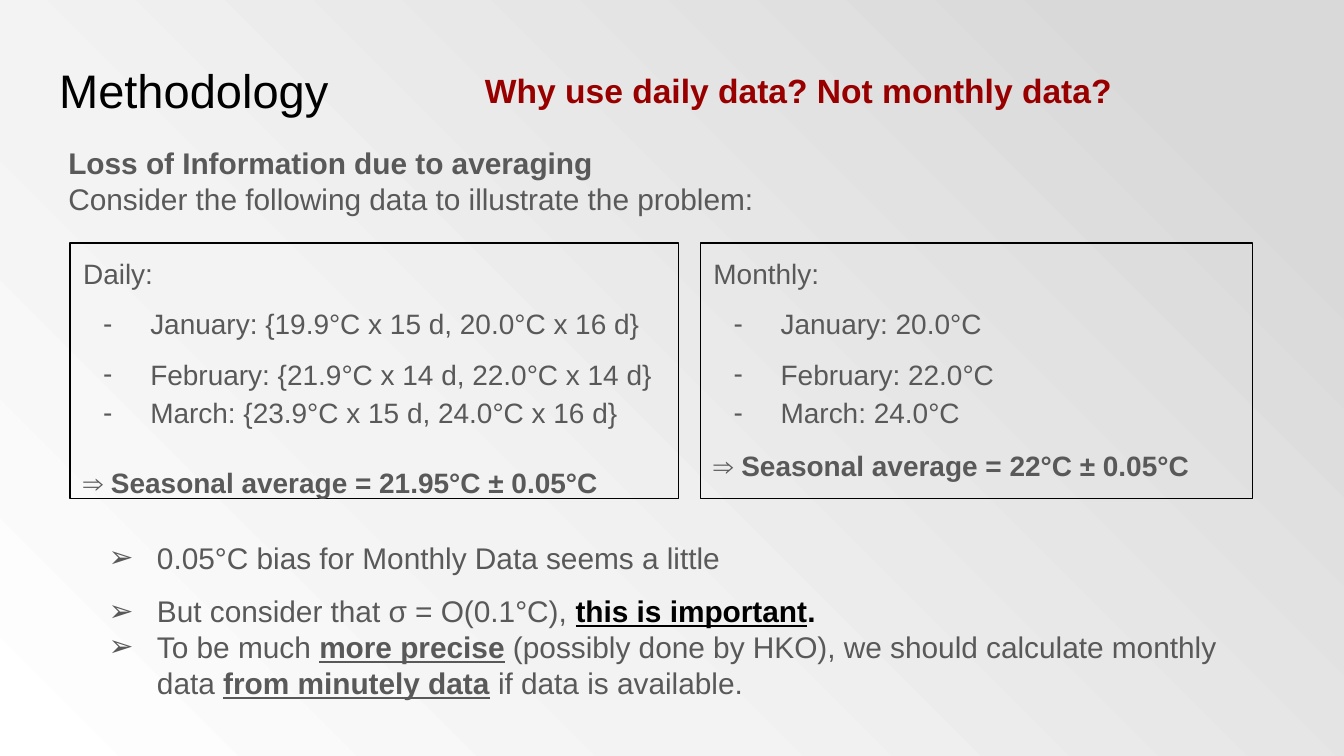
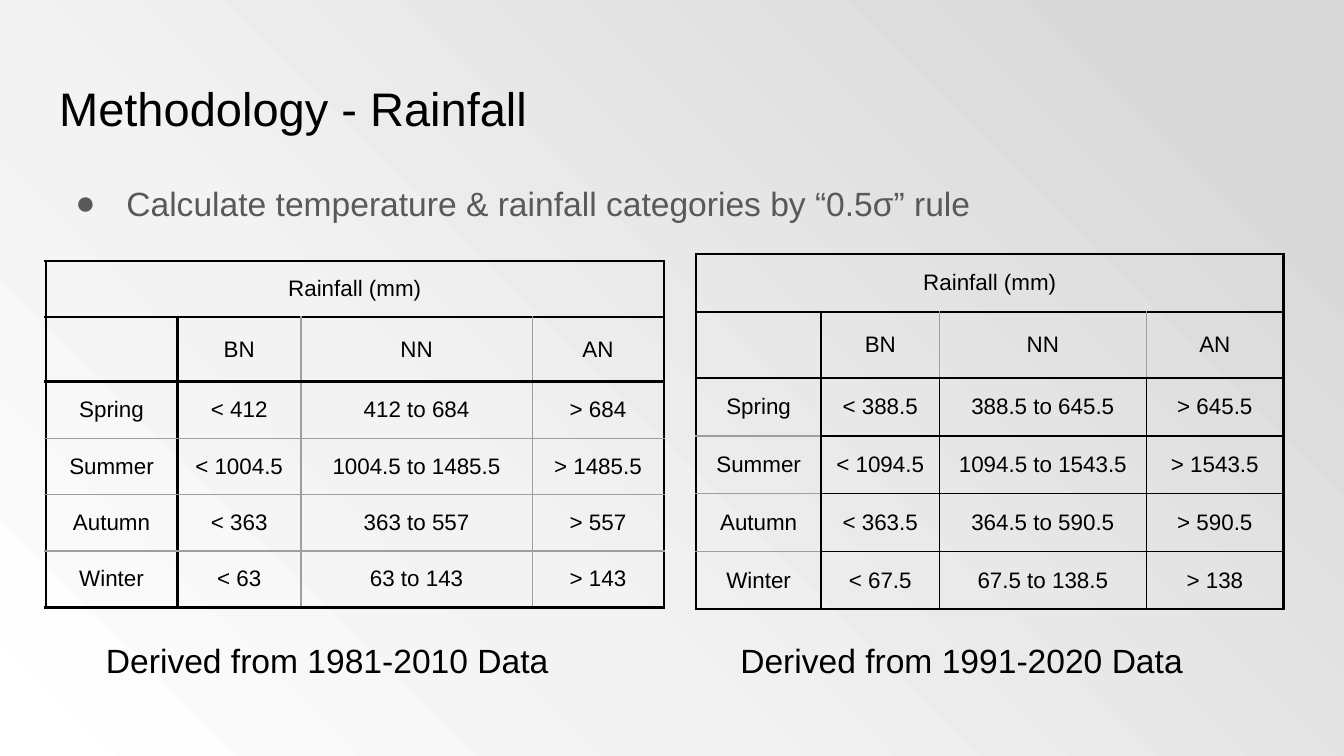
from lxml import etree
from pptx import Presentation
from pptx.dml.color import RGBColor
from pptx.enum import text
from pptx.oxml import ns, parse_xml
from pptx.util import Inches, Pt

INK = {"black": "000000", "gray": "595959", "red": "980000", "rule": "9E9E9E"}
STOPS = ((0, "FFFFFF"), (34, "F3F3F3"), (89, "D9D9D9"), (100, "D9D9D9"))
FONT = "Arial"
SIDES = ("L", "R", "T", "B")
THICK, FAINT, FINE = ("black", 1.5), ("rule", 0.75), ("black", 0.83)
HEAD = ["", "BN", "NN", "AN"]


def color(name):
    return RGBColor.from_string(INK[name])


# Shared background
def paint(master):
    master.background.fill.gradient()
    grad = master.element.xpath(".//p:bg//a:gradFill")[0]
    stops = "".join(f'<a:gs pos="{pos * 1000}"><a:srgbClr val="{tint}"/></a:gs>'
                    for pos, tint in STOPS)
    fresh = parse_xml(
        f'<a:gradFill {ns.nsdecls("a")} rotWithShape="1"><a:gsLst>{stops}</a:gsLst>'
        '<a:path path="circle"><a:fillToRect t="100000" r="100000"/></a:path></a:gradFill>')
    grad.getparent().replace(grad, fresh)


# Text
def style(font, size, tone, bold=None):
    font.name, font.size, font.bold = FONT, Pt(size), bold
    font.color.rgb = color(tone)


def mark(para, char, hang):
    props = para._p.get_or_add_pPr()
    props.set("marL", str(Inches(0.5)))
    props.set("indent", str(-Inches(hang)))
    tint = etree.SubElement(props, ns.qn("a:buClr"))
    etree.SubElement(tint, ns.qn("a:srgbClr")).set("val", INK["gray"])
    etree.SubElement(props, ns.qn("a:buFont")).set("typeface", FONT)
    etree.SubElement(props, ns.qn("a:buChar")).set("char", char)


def write(frame, lines, size, tone="gray", bold=None):
    """Each line is (parts, options); a part is text or (text, flags b, u, k)."""
    for i, (parts, opts) in enumerate(lines):
        para = frame.add_paragraph() if i else frame.paragraphs[0]
        if "bullet" in opts:
            mark(para, *opts["bullet"])
        para.alignment = text.PP_ALIGN.LEFT
        para.line_spacing = opts.get("gap", 1.0)
        para.space_before = Pt(opts.get("before", 0))
        style(para.font, size, tone, opts.get("bold", bold))
        for part in parts:
            words, flags = (part, "") if isinstance(part, str) else part
            run = para.add_run()
            run.text = words
            if "b" in flags:
                run.font.bold = True
            if "u" in flags:
                run.font.underline = True
            if "k" in flags:
                run.font.color.rgb = color("black")


def fit(shape, box, grow):
    shape.left, shape.top, shape.width, shape.height = map(Inches, box)
    frame = shape.text_frame
    frame.margin_left = frame.margin_right = Inches(0.1)
    frame.margin_top = frame.margin_bottom = Inches(0.1)
    frame.word_wrap = True
    frame.vertical_anchor = text.MSO_ANCHOR.TOP
    kind = text.MSO_AUTO_SIZE
    frame.auto_size = kind.SHAPE_TO_FIT_TEXT if grow else kind.NONE
    return frame


def title(slide, words, top):
    frame = fit(slide.shapes.title, (0.34, top, 9.32, 0.63), False)
    write(frame, [([words], {})], 25.2, "black")


def note(slide, box, lines, size, tone="gray", bold=None, line=False):
    shape = slide.shapes.add_textbox(*map(Inches, box))
    if line:
        shape.line.color.rgb = color("black")
        shape.line.width = Pt(0.75)
    write(fit(shape, box, True), lines, size, tone, bold)


def panel(slide, left, width, head, months, total, gap):
    lines = [([head], {})]
    for month, space in zip(months, (1.5, 1.5, 1.15)):
        lines.append(([month], {"bullet": ("-", 0.35), "gap": space}))
    lines.append(([total], {"bold": True, "gap": gap, "before": 10}))
    note(slide, (left, 1.81, width, 1.9), lines, 15, line=True)


# Tables
def edge(cell, rules):
    props = cell._tc.get_or_add_tcPr()
    for i, (side, (tone, width)) in enumerate(zip(SIDES, rules)):
        props.insert(i, parse_xml(
            f'<a:ln{side} {ns.nsdecls("a")} w="{Pt(width)}"><a:solidFill>'
            f'<a:srgbClr val="{INK[tone]}"/></a:solidFill></a:ln{side}>'))


def rules(row, col, last, inner):
    """Left, right, top and bottom line of a cell."""
    grid = inner if row > 1 else FAINT
    flat = inner if col else FAINT
    return (THICK if col < 2 else grid,
            THICK if col in (0, 3) else grid,
            THICK if row < 3 else flat,
            THICK if row < 2 or row == last else flat)


def table(slide, left, top, widths, high, data, inner, tight, blank):
    rows = [["Rainfall (mm)", "", "", ""], HEAD] + data
    frame = slide.shapes.add_table(len(rows), len(widths), Inches(left), Inches(top),
                                   Inches(sum(widths)), Inches(high * len(rows)))
    grid = frame.table
    grid.first_row = grid.horz_banding = False
    for col, width in zip(grid.columns, widths):
        col.width = Inches(width)
    for r, row in enumerate(rows):
        grid.rows[r].height = Inches(high)
        for c, words in enumerate(row):
            cell = grid.cell(r, c)
            pad = Inches(0.04 if r > 1 and c in tight else 0.1)
            cell.margin_left = cell.margin_right = pad
            cell.margin_top = cell.margin_bottom = pad
            cell.vertical_anchor = text.MSO_ANCHOR.MIDDLE
            cell.fill.background()
            edge(cell, rules(r, c, len(rows) - 1, inner) if r else [THICK] * 4)
            para = cell.text_frame.paragraphs[0]
            para.alignment = text.PP_ALIGN.CENTER
            if words:
                para.add_run().text = words
            style(para.font, blank if (r, c) == (1, 0) else 12, "black")
    grid.cell(0, 0).merge(grid.cell(0, 3))


# Slides
def daily(prs):
    slide = prs.slides.add_slide(prs.slide_layouts[5])
    title(slide, "Methodology", 0.36)
    note(slide, (3.51, 0.42, 5.78, 0.5),
         [(["Why use daily data? Not monthly data?"], {})], 18, "red", True)
    panel(slide, 0.52, 4.53, "Daily:",
          ["January: {19.9°C x 15 d, 20.0°C x 16 d}",
           "February: {21.9°C x 14 d, 22.0°C x 14 d}",
           "March: {23.9°C x 15 d, 24.0°C x 16 d}"],
          "⇒ Seasonal average = 21.95°C ± 0.05°C", 1.5)
    panel(slide, 5.21, 4.11, "Monthly:",
          ["January: 20.0°C", "February: 22.0°C", "March: 24.0°C"],
          "⇒ Seasonal average = 22°C ± 0.05°C", 1.0)
    note(slide, (0.41, 0.98, 5.88, 0.74),
         [(["Loss of Information due to averaging"], {"bold": True}),
          (["Consider the following data to illustrate the problem:"], {})], 16)
    arrow = {"bullet": ("➢", 0.36)}
    wide = {**arrow, "gap": 1.5}
    note(slide, (0.57, 3.78, 8.87, 1.55),
         [(["0.05°C bias for Monthly Data seems a little"], wide),
          (["But consider that σ = O(0.1°C), ", ("this is important", "buk"),
            (".", "bk")], wide),
          (["To be much ", ("more precise", "bu"),
            " (possibly done by HKO), we should calculate monthly data ",
            ("from minutely data", "bu"), " if data is available."], arrow)], 16)


def rain(prs):
    slide = prs.slides.add_slide(prs.slide_layouts[1])
    body = fit(slide.placeholders[1], (0.34, 1.26, 9.21, 3.74), False)
    write(body, [(["Calculate temperature & rainfall categories by “0.5σ” rule"],
                  {"bullet": ("●", 0.38)})], 18)
    title(slide, "Methodology - Rainfall", 0.49)
    table(slide, 0.34, 1.94, (0.98, 0.92, 1.72, 0.98), 0.42,
          [["Spring", "< 412", "412 to 684", "> 684"],
           ["Summer", "< 1004.5", "1004.5 to 1485.5", "> 1485.5"],
           ["Autumn", "< 363", "363 to 557", "> 557"],
           ["Winter", "< 63", "63 to 143", "> 143"]], FAINT, (1, 3), 18)
    table(slide, 5.18, 1.89, (0.93, 0.88, 1.54, 1.02), 0.43,
          [["Spring", "< 388.5", "388.5 to 645.5", "> 645.5"],
           ["Summer", "< 1094.5", "1094.5 to 1543.5", "> 1543.5"],
           ["Autumn", "< 363.5", "364.5 to 590.5", "> 590.5"],
           ["Winter", "< 67.5", "67.5 to 138.5", "> 138"]], FINE, (1, 2, 3), 19)
    for left, years in ((0.69, "1981-2010"), (5.41, "1991-2020")):
        note(slide, (left, 4.66, 3.91, 0.5),
             [([f"Derived from {years} Data"], {})], 18, "black")


def main():
    prs = Presentation()
    prs.slide_width = Inches(10)
    prs.slide_height = prs.slide_width * 9 // 16
    paint(prs.slide_master)
    daily(prs)
    rain(prs)
    prs.save("out.pptx")


if __name__ == "__main__":
    main()
